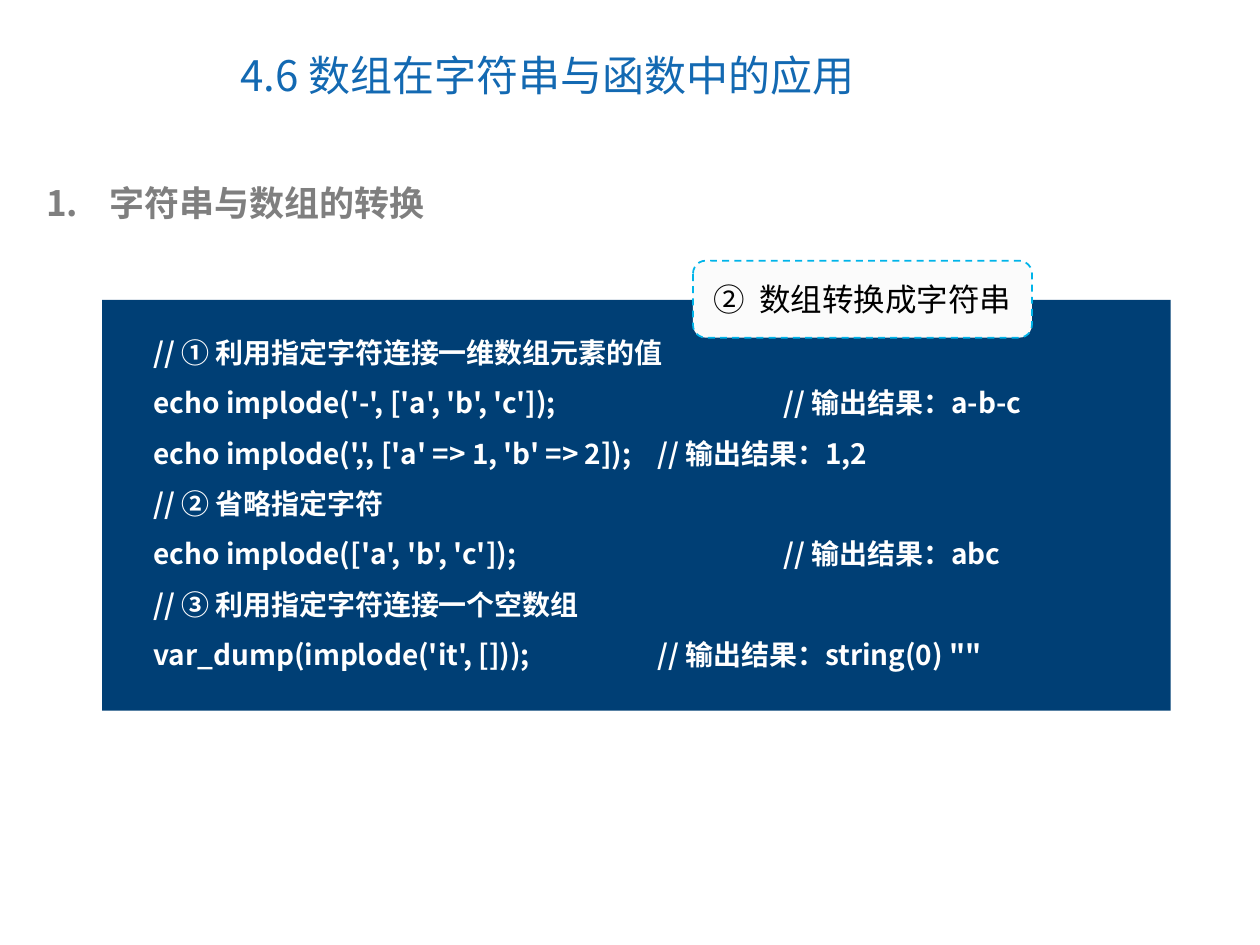
from dataclasses import dataclass

from lxml.etree import SubElement
from pptx import Presentation
from pptx.dml.color import RGBColor
from pptx.enum.dml import MSO_LINE
from pptx.enum.shapes import MSO_SHAPE
from pptx.enum.text import MSO_ANCHOR, PP_ALIGN
from pptx.oxml.ns import qn
from pptx.util import Pt


@dataclass(frozen=True)
class Theme:
    blue: str = "1369B2"
    gray: str = "7F7F7F"
    navy: str = "003F75"
    cyan: str = "00B4E9"
    pale: str = "FBFBFB"
    white: str = "FFFFFF"
    black: str = "000000"
    cjk_font: str = "Noto Sans CJK SC"
    latin_font: str = "Arial"
    title_size: int = 24
    heading_size: int = 20
    callout_size: int = 18
    code_size: int = 16


THEME = Theme()
INCH = 72
CODE_LINES = [
    "// ① 利用指定字符连接一维数组元素的值",
    "echo implode('-', ['a', 'b', 'c']);\t\t// 输出结果：a-b-c",
    "echo implode(',', ['a' => 1, 'b' => 2]); \t// 输出结果：1,2",
    "// ② 省略指定字符",
    "echo implode(['a', 'b', 'c']);\t\t\t// 输出结果：abc",
    "// ③ 利用指定字符连接一个空数组",
    "var_dump(implode('it', []));\t\t// 输出结果：string(0) \"\"",
]


def color(value):
    return RGBColor.from_string(value)


def points(box):
    return [Pt(value) for value in box]


def write_paragraph(paragraph, text, size, ink, bold=False, name=THEME.cjk_font):
    run = paragraph.add_run()
    run.text = text
    run.font.color.rgb = color(ink)
    for attribute, value in {"name": name, "size": Pt(size), "bold": bold}.items():
        setattr(run.font, attribute, value)
    east_asian = SubElement(run._r.get_or_add_rPr(), qn("a:ea"))
    east_asian.set("typeface", THEME.cjk_font)


def add_text_frame(slide, box, anchor=MSO_ANCHOR.TOP):
    frame = slide.shapes.add_textbox(*points(box)).text_frame
    frame.word_wrap = True
    frame.vertical_anchor = anchor
    return frame


def add_plain_shape(slide, kind, box, fill):
    shape = slide.shapes.add_shape(kind, *points(box))
    shape.shadow.inherit = False
    shape.fill.solid()
    shape.fill.fore_color.rgb = color(fill)
    shape.line.fill.background()
    return shape


def add_title(slide, box):
    frame = add_text_frame(slide, box, MSO_ANCHOR.MIDDLE)
    write_paragraph(frame.paragraphs[0], "4.6 数组在字符串与函数中的应用",
                    THEME.title_size, THEME.blue)


def add_numbered_heading(slide, box):
    paragraph = add_text_frame(slide, box).paragraphs[0]
    properties = paragraph._p.get_or_add_pPr()
    properties.set("marL", str(Pt(36)))
    properties.set("indent", str(Pt(-36)))
    SubElement(properties, qn("a:buFont")).set("typeface", "+mj-lt")
    SubElement(properties, qn("a:buAutoNum")).set("type", "arabicPeriod")
    write_paragraph(paragraph, "字符串与数组的转换",
                    THEME.heading_size, THEME.gray, bold=True)


def add_inch_tabs(paragraph):
    tab_list = SubElement(paragraph._p.get_or_add_pPr(), qn("a:tabLst"))
    for inch in range(1, 8):
        tab = SubElement(tab_list, qn("a:tab"))
        tab.set("pos", str(Pt(inch * INCH)))
        tab.set("algn", "l")


def add_code_panel(slide, box):
    left, top, width, height = box
    add_plain_shape(slide, MSO_SHAPE.RECTANGLE, box, THEME.navy)
    inset = 22.4
    frame = add_text_frame(slide, (left + inset, top + 7.2, width - inset, height - 26))
    for index, line in enumerate(CODE_LINES):
        paragraph = frame.add_paragraph() if index else frame.paragraphs[0]
        add_inch_tabs(paragraph)
        paragraph.line_spacing = 1.5
        write_paragraph(paragraph, line, THEME.code_size, THEME.white, bold=True)


def add_callout(slide, box):
    shape = add_plain_shape(slide, MSO_SHAPE.ROUNDED_RECTANGLE, box, THEME.pale)
    shape.line.color.rgb = color(THEME.cyan)
    shape.line.width = Pt(1)
    shape.line.dash_style = MSO_LINE.DASH
    shape.text_frame.vertical_anchor = MSO_ANCHOR.MIDDLE
    paragraph = shape.text_frame.paragraphs[0]
    paragraph.alignment = PP_ALIGN.CENTER
    write_paragraph(paragraph, "②  数组转换成字符串", THEME.callout_size,
                    THEME.black, name=THEME.latin_font)


def main():
    presentation = Presentation()
    presentation.slide_width = Pt(720)
    presentation.slide_height = Pt(540)
    slide = presentation.slides.add_slide(presentation.slide_layouts[6])
    add_title(slide, (130.3, 12.2, 371.5, 61.2))
    add_numbered_heading(slide, (19.4, 100, 664, 31.7))
    add_code_panel(slide, (58.3, 171.4, 610.6, 234.7))
    add_callout(slide, (396, 149, 193.7, 44))
    presentation.save("out.pptx")


if __name__ == "__main__":
    main()
